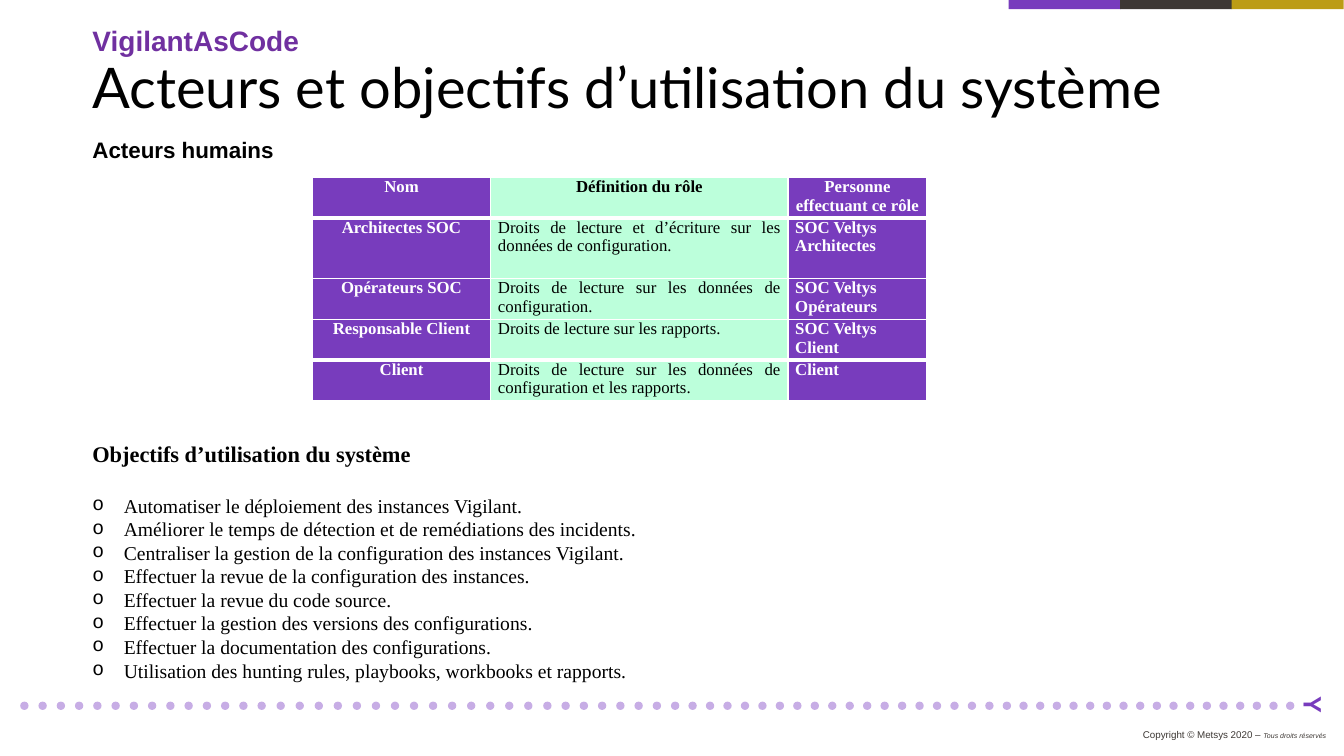
from lxml.etree import SubElement
from pptx import Presentation
from pptx.dml.color import RGBColor
from pptx.enum.shapes import MSO_SHAPE
from pptx.enum.text import MSO_ANCHOR, MSO_AUTO_SIZE, PP_ALIGN
from pptx.oxml.ns import qn
from pptx.util import Cm, Pt

PURPLE = RGBColor(0x78, 0x3C, 0xBD)
VIOLET = RGBColor(0x70, 0x30, 0xA0)
LILAC = RGBColor(0xC7, 0xAD, 0xE5)
BROWN = RGBColor(0x3D, 0x38, 0x34)
GOLD = RGBColor(0xBC, 0x9C, 0x16)
MINT = RGBColor(0xBC, 0xFF, 0xDB)
WHITE = RGBColor(0xFF, 0xFF, 0xFF)
BLACK = RGBColor(0, 0, 0)
SANS, SERIF, TITLE = "Arial", "Times New Roman", "Lato"

HEADS = ["Nom", "Définition du rôle", "Personne effectuant ce rôle"]
ROLES = [
    ("Architectes SOC",
     "Droits de lecture et d’écriture sur les données de configuration.",
     "SOC Veltys Architectes"),
    ("Opérateurs SOC",
     "Droits de lecture sur les données de configuration.",
     "SOC Veltys Opérateurs"),
    ("Responsable Client",
     "Droits de lecture sur les rapports.",
     "SOC Veltys Client"),
    ("Client",
     "Droits de lecture sur les données de configuration et les rapports.",
     "Client"),
]
GOALS = [
    "Automatiser le déploiement des instances Vigilant.",
    "Améliorer le temps de détection et de remédiations des incidents.",
    "Centraliser la gestion de la configuration des instances Vigilant.",
    "Effectuer la revue de la configuration des instances.",
    "Effectuer la revue du code source.",
    "Effectuer la gestion des versions des configurations.",
    "Effectuer la documentation des configurations.",
    "Utilisation des hunting rules, playbooks, workbooks et rapports.",
]
COLS = [4.5, 7.49, 3.5]
ROWS = [0.98, 1.52, 1.04, 1.01, 1.01]
# Each run of footer dots: how many, and the step between them in cm
DOTS = [(13, 0.46), (15, 0.48), (7, 0.46), (19, 0.44), (18, 0.42)]


def write(para, text, size=12, font=SERIF, color=BLACK, bold=False,
          italic=False, align=PP_ALIGN.LEFT):
    """Add one formatted run to a paragraph."""
    para.alignment = align
    run = para.add_run()
    run.text = text
    face = run.font
    face.name, face.size = font, Pt(size)
    face.bold, face.italic = bold, italic
    face.color.rgb = color


def bullet(para):
    """Give a paragraph a hanging round bullet."""
    props = para._p.get_or_add_pPr()
    props.set("marL", str(Cm(0.79)))
    props.set("indent", str(-Cm(0.79)))
    SubElement(props, qn("a:buFont"), typeface="Courier New")
    SubElement(props, qn("a:buChar"), char="o")


def border(cell, top, bottom):
    """Draw white cell borders; top and bottom are widths in points."""
    props = cell._tc.get_or_add_tcPr()
    for side, width in (("L", 1), ("R", 1), ("T", top), ("B", bottom)):
        line = SubElement(props, qn("a:ln" + side), w=str(Pt(width)))
        fill = SubElement(line, qn("a:solidFill"))
        SubElement(fill, qn("a:srgbClr"), val=str(WHITE))


class Deck:
    def __init__(self):
        self.prs = Presentation()
        self.prs.slide_width, self.prs.slide_height = Cm(33.87), Cm(19.05)
        self.slide = self.prs.slides.add_slide(self.prs.slide_layouts[5])
        self.shapes = self.slide.shapes

    def title(self, text, x, y, w, h):
        box = self.shapes.title
        box.left, box.top, box.width, box.height = map(Cm, (x, y, w, h))
        frame = box.text_frame
        frame.auto_size = MSO_AUTO_SIZE.NONE
        frame.vertical_anchor = MSO_ANCHOR.TOP
        para = frame.paragraphs[0]
        para.line_spacing = 0.9
        write(para, text, size=40, font=TITLE)

    def shape(self, kind, x, y, w, h, color):
        item = self.shapes.add_shape(kind, Cm(x), Cm(y), Cm(w), Cm(h))
        item.shadow.inherit = False
        item.fill.solid()
        item.fill.fore_color.rgb = color
        item.line.fill.background()

    def box(self, x, y, w, h, anchor=MSO_ANCHOR.TOP, turn=0):
        """Add a text box and return its text frame."""
        item = self.shapes.add_textbox(Cm(x), Cm(y), Cm(w), Cm(h))
        item.rotation = turn
        frame = item.text_frame
        frame.word_wrap = True
        frame.vertical_anchor = anchor
        return frame

    def label(self, text, x, y, w, h, anchor=MSO_ANCHOR.TOP, turn=0, **style):
        para = self.box(x, y, w, h, anchor, turn).paragraphs[0]
        write(para, text, **style)
        return para

    def table(self, x, y):
        grid = self.shapes.add_table(len(ROWS), len(COLS), Cm(x), Cm(y),
                                     Cm(sum(COLS)), Cm(sum(ROWS))).table
        grid.first_row = grid.horz_banding = False
        for col, width in zip(grid.columns, COLS):
            col.width = Cm(width)
        last = len(ROWS) - 1
        for r, texts in enumerate([HEADS, *ROLES]):
            grid.rows[r].height = Cm(ROWS[r])
            for c, text in enumerate(texts):
                cell = grid.cell(r, c)
                cell.margin_left = cell.margin_right = Cm(0.18)
                cell.margin_top = cell.margin_bottom = 0
                border(cell, 3 if r in (1, last) else 1,
                       3 if r in (0, last - 1) else 1)
                mid = c == 1
                cell.fill.solid()
                cell.fill.fore_color.rgb = MINT if mid else PURPLE
                if r == 0 or c == 0:
                    align = PP_ALIGN.CENTER
                else:
                    align = PP_ALIGN.JUSTIFY if mid else PP_ALIGN.LEFT
                write(cell.text_frame.paragraphs[0], text, align=align,
                      bold=r == 0 or not mid, color=BLACK if mid else WHITE)

    def goals(self, head, items, x, y, w, h):
        frame = self.box(x, y, w, h)
        first = frame.paragraphs[0]
        write(first, head, size=16, bold=True)
        first.space_after = Pt(19)
        for item in items:
            para = frame.add_paragraph()
            bullet(para)
            write(para, item, size=14)

    def footer(self):
        x = 0.51
        for count, step in DOTS:
            for _ in range(count):
                self.shape(MSO_SHAPE.OVAL, x, 17.68, 0.21, 0.21, LILAC)
                x += step
        self.label("Y", 32.72, 17.17, 0.76, 1.02, turn=90, size=18,
                   font=SANS, color=PURPLE, bold=True)
        style = dict(font=SANS, color=BROWN, align=PP_ALIGN.RIGHT)
        para = self.label("Copyright © Metsys 2020 – ", 28.42, 18.24, 5.26,
                          0.56, MSO_ANCHOR.MIDDLE, size=7, **style)
        write(para, "Tous droits réservés", size=5, italic=True, **style)


def main():
    deck = Deck()
    for i, color in enumerate((PURPLE, BROWN, GOLD)):
        deck.shape(MSO_SHAPE.RECTANGLE, 25.42 + 2.81 * i, 0, 2.82, 0.23, color)
    deck.footer()
    deck.table(7.87, 4.48)
    deck.label("Acteurs humains", 2.08, 3.3, 5.13, 0.94, MSO_ANCHOR.MIDDLE,
               size=16, font=SANS, bold=True)
    deck.goals("Objectifs d’utilisation du système", GOALS,
               2.08, 10.97, 21.21, 6.32)
    deck.title("Acteurs et objectifs d’utilisation du système",
               2.08, 1.4, 29.36, 2.36)
    deck.label("VigilantAsCode", 2.08, 0.46, 5.97, 1.12, size=20, font=SANS,
               color=VIOLET, bold=True)
    deck.prs.save("out.pptx")


if __name__ == "__main__":
    main()
